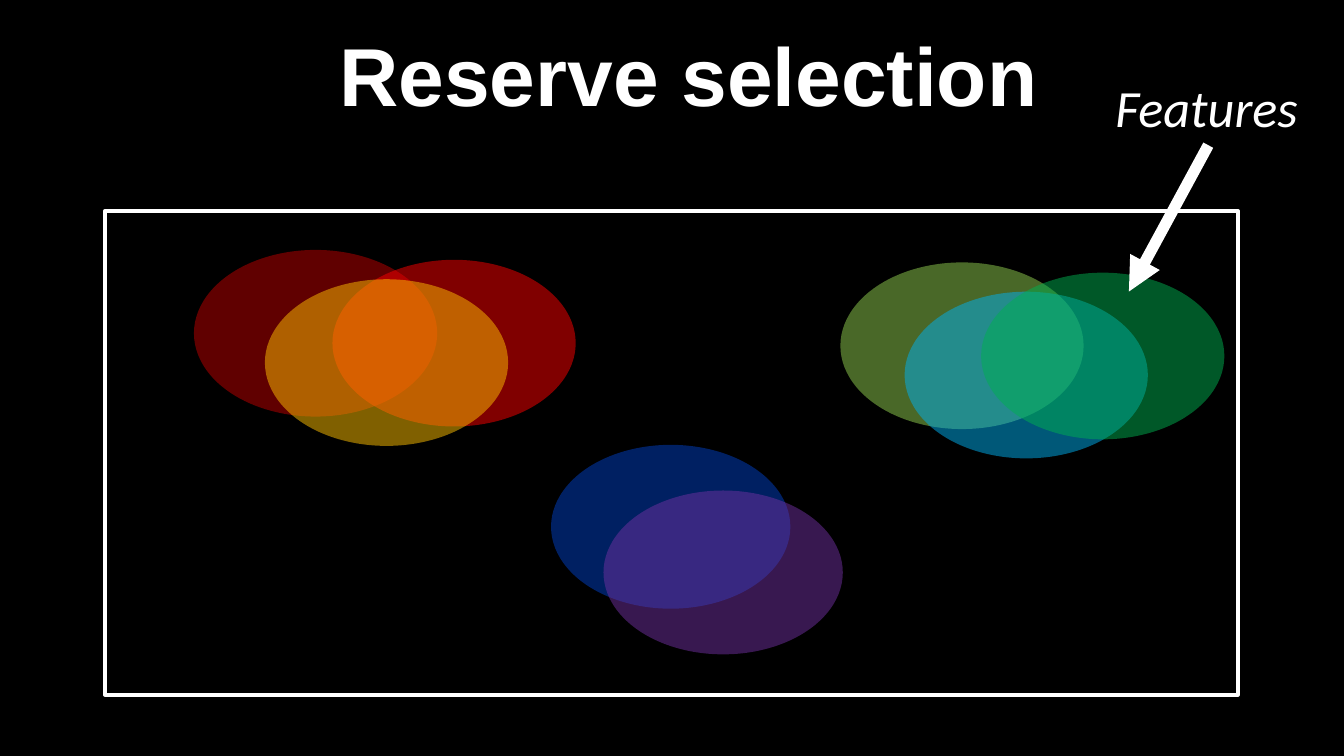
from dataclasses import dataclass

from lxml import etree
from pptx import Presentation
from pptx.dml.color import RGBColor
from pptx.enum.shapes import MSO_CONNECTOR, MSO_SHAPE
from pptx.enum.text import MSO_ANCHOR, MSO_AUTO_SIZE, PP_ALIGN
from pptx.oxml.ns import qn
from pptx.util import Pt

RECTANGLE = MSO_SHAPE.RECTANGLE
OVAL = MSO_SHAPE.OVAL
STRAIGHT = MSO_CONNECTOR.STRAIGHT
MIDDLE = MSO_ANCHOR.MIDDLE
CENTER = PP_ALIGN.CENTER
NO_AUTOSIZE = MSO_AUTO_SIZE.NONE
FIT_SHAPE = MSO_AUTO_SIZE.SHAPE_TO_FIT_TEXT


@dataclass(frozen=True)
class Theme:
    background: str = "000000"
    foreground: str = "FFFFFF"
    title_size: int = 44
    label_size: int = 28
    title_font: str = "Arial"
    label_font: str = "Calibri"
    feature_alpha: int = 50000


theme = Theme()
white = RGBColor.from_string(theme.foreground)


def place(shape, left, top, width, height):
    bounds = {"left": left, "top": top, "width": width, "height": height}
    for name, value in bounds.items():
        setattr(shape, name, Pt(value))


def write(shape, text, frame_format, font_format):
    frame = shape.text_frame
    frame.text = text
    for name, value in frame_format.items():
        setattr(frame, name, value)
    font = frame.paragraphs[0].runs[0].font
    for name, value in font_format.items():
        setattr(font, name, value)
    font.color.rgb = white


presentation = Presentation()
presentation.slide_width = Pt(720)
presentation.slide_height = Pt(405)
slide = presentation.slides.add_slide(presentation.slide_layouts[5])
slide.background.fill.solid()
slide.background.fill.fore_color.rgb = RGBColor.from_string(theme.background)

region = slide.shapes.add_shape(RECTANGLE, Pt(56.25), Pt(113), Pt(607), Pt(259.2))
region.shadow.inherit = False
region.fill.background()
region.line.color.rgb = white
region.line.width = Pt(2)

large = (130.3, 89.3)
small = (128.2, 87.8)
features = [
    ("0041C4", 295.2, 238.3, small),
    ("C00000", 103.9, 133.9, large),
    ("FF0000", 178.1, 139.2, large),
    ("92D050", 450.2, 140.6, large),
    ("00B0F0", 484.6, 156.3, large),
    ("00B050", 525.6, 146.1, large),
    ("7030A0", 323.3, 262.8, small),
    ("FFC000", 141.9, 149.6, large),
]
for color, left, top, (width, height) in features:
    feature = slide.shapes.add_shape(OVAL, Pt(left), Pt(top), Pt(width), Pt(height))
    feature.shadow.inherit = False
    feature.fill.solid()
    feature.fill.fore_color.rgb = RGBColor.from_string(color)
    feature.line.fill.background()
    color_element = feature.fill._xPr.find(qn("a:solidFill"))[0]
    etree.SubElement(color_element, qn("a:alpha"), val=str(theme.feature_alpha))

label = slide.shapes.add_textbox(Pt(590.4), Pt(36.7), Pt(113), Pt(41))
write(
    label,
    "Features",
    {"word_wrap": False, "auto_size": FIT_SHAPE},
    {"name": theme.label_font, "size": Pt(theme.label_size), "italic": True},
)

arrow = slide.shapes.add_connector(STRAIGHT, Pt(647.3), Pt(77.8), Pt(604.8), Pt(156.2))
arrow.line.color.rgb = white
arrow.line.width = Pt(6)
etree.SubElement(arrow.line._get_or_add_ln(), qn("a:tailEnd"), type="triangle")
etree.SubElement(arrow._element.spPr, qn("a:effectLst"))

title = slide.shapes.title
place(title, 45, 5.8, 648, 67.5)
write(
    title,
    "Reserve selection",
    {"word_wrap": True, "auto_size": NO_AUTOSIZE, "vertical_anchor": MIDDLE},
    {"name": theme.title_font, "size": Pt(theme.title_size), "bold": True},
)
title.text_frame.paragraphs[0].alignment = CENTER

presentation.save("out.pptx")
